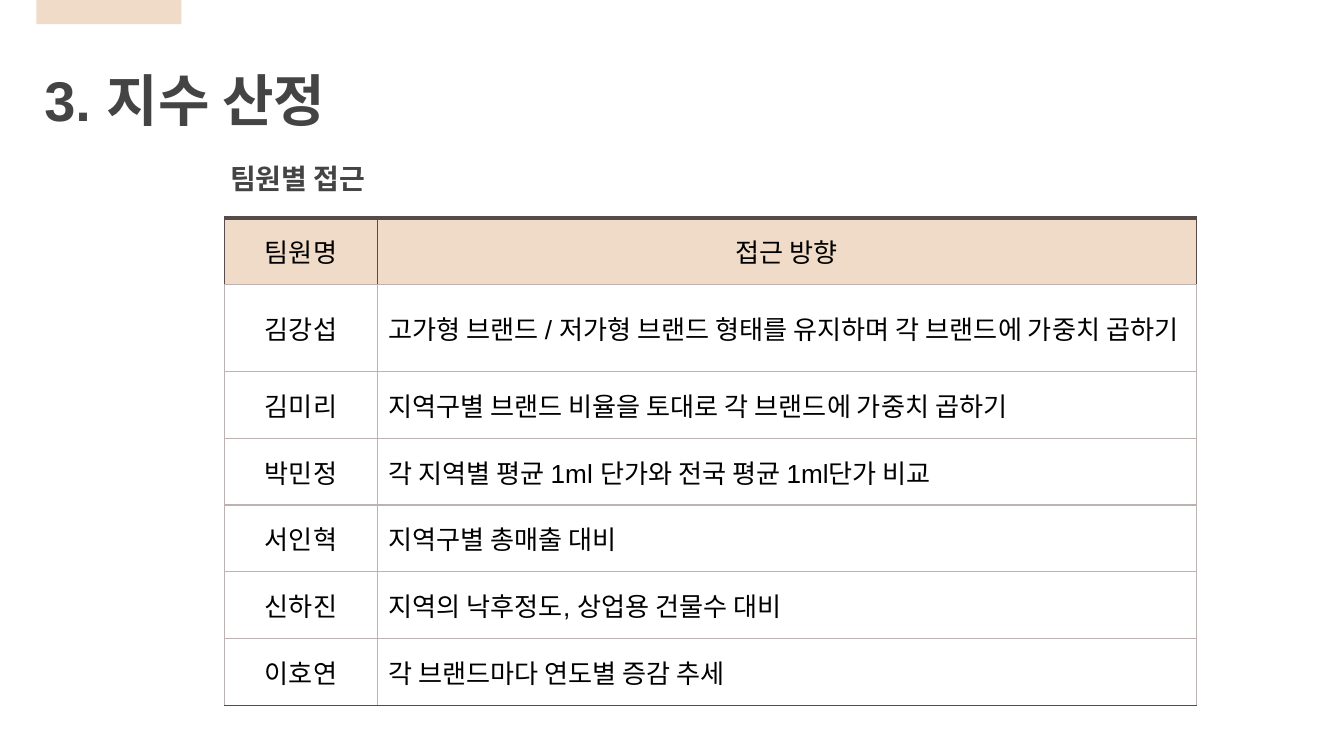
from lxml.etree import fromstring
from pptx import Presentation
from pptx.dml.color import RGBColor
from pptx.enum.shapes import MSO_SHAPE
from pptx.enum.text import MSO_ANCHOR, PP_ALIGN
from pptx.oxml.ns import nsdecls
from pptx.util import Inches, Pt

TITLE = "3. 지수 산정"
SUBTITLE = "팀원별 접근"
ROWS = [
    ("팀원명", "접근 방향"),
    ("김강섭", "고가형 브랜드 / 저가형 브랜드 형태를 유지하며 각 브랜드에 가중치 곱하기"),
    ("김미리", "지역구별 브랜드 비율을 토대로 각 브랜드에 가중치 곱하기"),
    ("박민정", "각 지역별 평균 1ml 단가와 전국 평균 1ml단가 비교"),
    ("서인혁", "지역구별 총매출 대비"),
    ("신하진", "지역의 낙후정도, 상업용 건물수 대비"),
    ("이호연", "각 브랜드마다 연도별 증감 추세"),
]
COLUMN_WIDTHS = [1.14, 6.09]
TABLE_HEIGHT = 3.48
FONT = "Arial"
BEIGE, WHITE, BLACK, GRAY = "EFDBC7", "FFFFFF", "000000", "454444"
LIGHT_LINE = ("BBB2B1", 0.75)
DARK_LINE = ("554B4B", 0.75)
TOP_LINE = ("554B4B", 2.25)
BOTTOM_LINE = ("554B4B", 1)


def color(value):
    return RGBColor.from_string(value)


def style_paragraph(paragraph, size, font_color, bold, alignment):
    paragraph.alignment = alignment
    paragraph.font.name = FONT
    paragraph.font.size = Pt(size)
    paragraph.font.bold = bold
    paragraph.font.color.rgb = color(font_color)


def add_heading(slide, text, left, top, width, height, size, alignment):
    frame = slide.shapes.add_textbox(
        Inches(left), Inches(top), Inches(width), Inches(height)
    ).text_frame
    frame.word_wrap = True
    frame.margin_left = frame.margin_right = Inches(0.07)
    frame.margin_top = frame.margin_bottom = Inches(0.04)
    frame.text = text
    style_paragraph(frame.paragraphs[0], size, GRAY, True, alignment)


def set_borders(cell, left, right, top, bottom):
    properties = cell._tc.get_or_add_tcPr()
    sides = zip("LRTB", (left, right, top, bottom))
    for position, (side, (line_color, width)) in enumerate(sides):
        properties.insert(position, fromstring(
            f'<a:ln{side} {nsdecls("a")} w="{Pt(width)}"><a:solidFill>'
            f'<a:srgbClr val="{line_color}"/></a:solidFill></a:ln{side}>'
        ))


def add_team_table(slide):
    table = slide.shapes.add_table(
        len(ROWS), len(COLUMN_WIDTHS), Inches(1.67), Inches(1.62),
        Inches(sum(COLUMN_WIDTHS)), Inches(TABLE_HEIGHT),
    ).table
    for column, width in zip(table.columns, COLUMN_WIDTHS):
        column.width = Inches(width)
    for row_index, texts in enumerate(ROWS):
        header = row_index == 0
        last = row_index == len(ROWS) - 1
        side = DARK_LINE if header else LIGHT_LINE
        top = TOP_LINE if header else LIGHT_LINE
        bottom = BOTTOM_LINE if last else LIGHT_LINE
        for column_index, text in enumerate(texts):
            cell = table.cell(row_index, column_index)
            cell.text = text
            cell.vertical_anchor = MSO_ANCHOR.MIDDLE
            cell.margin_left = cell.margin_right = Inches(0.08)
            cell.margin_top = cell.margin_bottom = Inches(0.04)
            cell.fill.solid()
            cell.fill.fore_color.rgb = color(BEIGE if header else WHITE)
            centered = header or column_index == 0
            alignment = PP_ALIGN.CENTER if centered else PP_ALIGN.LEFT
            style_paragraph(cell.text_frame.paragraphs[0], 14, BLACK, False, alignment)
            set_borders(cell, side, side, top, bottom)


def main():
    presentation = Presentation()
    presentation.slide_width = Inches(10)
    presentation.slide_height = presentation.slide_width * 9 // 16
    slide = presentation.slides.add_slide(presentation.slide_layouts[6])

    accent = slide.shapes.add_shape(
        MSO_SHAPE.RECTANGLE, Inches(0.27), 0, Inches(1.08), Inches(0.18)
    )
    accent.shadow.inherit = False
    accent.fill.solid()
    accent.fill.fore_color.rgb = color(BEIGE)
    accent.line.fill.background()

    add_team_table(slide)
    add_heading(slide, SUBTITLE, 1.09, 1.16, 2.25, 0.33, 15, PP_ALIGN.CENTER)
    add_heading(slide, TITLE, 0.26, 0.45, 3.89, 0.58, 30, PP_ALIGN.LEFT)
    presentation.save("out.pptx")


if __name__ == "__main__":
    main()
